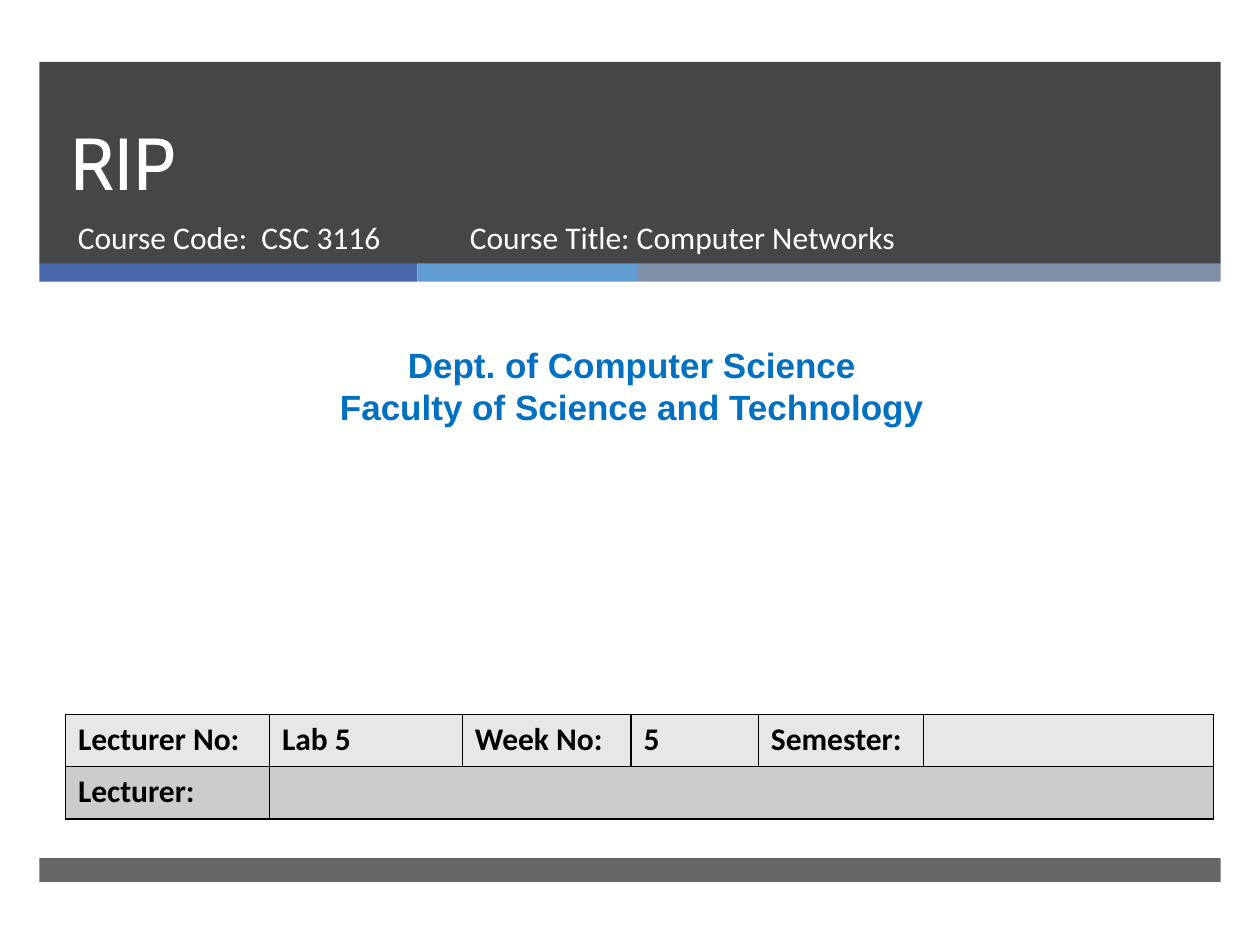
"""Build the opening slide of a networking lab."""
from lxml.etree import SubElement
from pptx import Presentation
from pptx.dml.color import RGBColor
from pptx.enum.shapes import MSO_SHAPE
from pptx.enum.text import MSO_ANCHOR, PP_ALIGN
from pptx.oxml.ns import qn
from pptx.util import Pt

DARK = RGBColor(0x26, 0x26, 0x26)
BLUE = RGBColor(0x4A, 0x66, 0xAC)
SKY = RGBColor(0x62, 0x9D, 0xD1)
SLATE = RGBColor(0x7F, 0x8F, 0xA9)
WHITE = RGBColor(0xFF, 0xFF, 0xFF)
BLACK = RGBColor(0, 0, 0)
LINK = RGBColor(0x00, 0x70, 0xC0)
PALE = RGBColor(0xE7, 0xE7, 0xE7)
GRAY = RGBColor(0xCC, 0xCC, 0xCC)

LEFT = 22.5
STRIPES = [(216, BLUE), (126, SKY), (333, SLATE)]
WIDTHS = [116.6, 110.2, 96.5, 72.7, 94.3, 165.7]
ROWS = [["Lecturer No:", "Lab 5", "Week No:", "5", "Semester:", ""],
        ["Lecturer:"] + [""] * 5]


def add_bar(slide, x, y, w, h, color, alpha=100):
    bar = slide.shapes.add_shape(MSO_SHAPE.RECTANGLE, Pt(x), Pt(y), Pt(w), Pt(h))
    bar.shadow.inherit = False
    bar.line.fill.background()
    bar.fill.solid()
    bar.fill.fore_color.rgb = color
    if alpha < 100:
        tint = bar.fill._xPr.find(".//" + qn("a:srgbClr"))
        SubElement(tint, qn("a:alpha"), val=str(alpha * 1000))


def set_font(para, name, size, color, bold=False):
    font = para.font
    font.name, font.size, font.bold = name, Pt(size), bold
    font.color.rgb = color


def add_text(slide, x, y, w, h, lines, name, size, color, bold=False,
             align=PP_ALIGN.LEFT, anchor=MSO_ANCHOR.TOP, pitch=None):
    frame = slide.shapes.add_textbox(Pt(x), Pt(y), Pt(w), Pt(h)).text_frame
    frame.word_wrap = True
    frame.vertical_anchor = anchor
    frame.text = "\n".join(lines)
    for para in frame.paragraphs:
        para.alignment = align
        if pitch:
            para.line_spacing = Pt(pitch)
        set_font(para, name, size, color, bold)


def add_border(cell):
    props = cell._tc.get_or_add_tcPr()
    for i, side in enumerate(("lnL", "lnR", "lnT", "lnB")):
        line = props.makeelement(qn("a:" + side), {"w": str(Pt(1))})
        fill = SubElement(line, qn("a:solidFill"))
        SubElement(fill, qn("a:srgbClr"), val=str(BLACK))
        props.insert(i, line)


def add_grid(slide, x, y, high):
    table = slide.shapes.add_table(len(ROWS), len(WIDTHS), Pt(x), Pt(y),
                                   Pt(sum(WIDTHS)), Pt(high * len(ROWS))).table
    for col, width in zip(table.columns, WIDTHS):
        col.width = Pt(width)
    for r, (texts, color) in enumerate(zip(ROWS, (PALE, GRAY))):
        table.rows[r].height = Pt(high)
        for c, text in enumerate(texts):
            cell = table.cell(r, c)
            cell.text = text
            set_font(cell.text_frame.paragraphs[0], "Calibri", 18, BLACK, True)
            cell.fill.solid()
            cell.fill.fore_color.rgb = color
            add_border(cell)
    table.cell(1, 1).merge(table.cell(1, len(WIDTHS) - 1))


def main():
    deck = Presentation()
    deck.slide_width, deck.slide_height = Pt(720), Pt(540)
    slide = deck.slides.add_slide(deck.slide_layouts[6])
    wide = sum(width for width, _ in STRIPES)
    add_bar(slide, LEFT, 35.3, wide, 115.5, DARK, 85)
    x = LEFT
    for width, color in STRIPES:
        add_bar(slide, x, 150.5, width, 10.5, color)
        x += width
    add_bar(slide, LEFT, 490.3, wide, 13.7, DARK, 70)
    add_text(slide, 33.1, 35.3, 615, 85.7, ["RIP"], "Cabin", 42, WHITE,
             anchor=MSO_ANCHOR.BOTTOM, pitch=46)
    add_text(slide, 37.4, 121, 220, 38, ["Course Code:  CSC 3116"],
             "Calibri", 18, WHITE)
    add_text(slide, 261.4, 121, 328, 38, ["Course Title: Computer Networks"],
             "Calibri", 18, WHITE)
    add_text(slide, 5.8, 193, 710.6, 55.4,
             ["Dept. of Computer Science", "Faculty of Science and Technology"],
             "Arial", 20, LINK, True, PP_ALIGN.CENTER, pitch=24)
    add_grid(slide, 37.4, 408.2, 29.9)
    deck.save("out.pptx")


if __name__ == "__main__":
    main()
